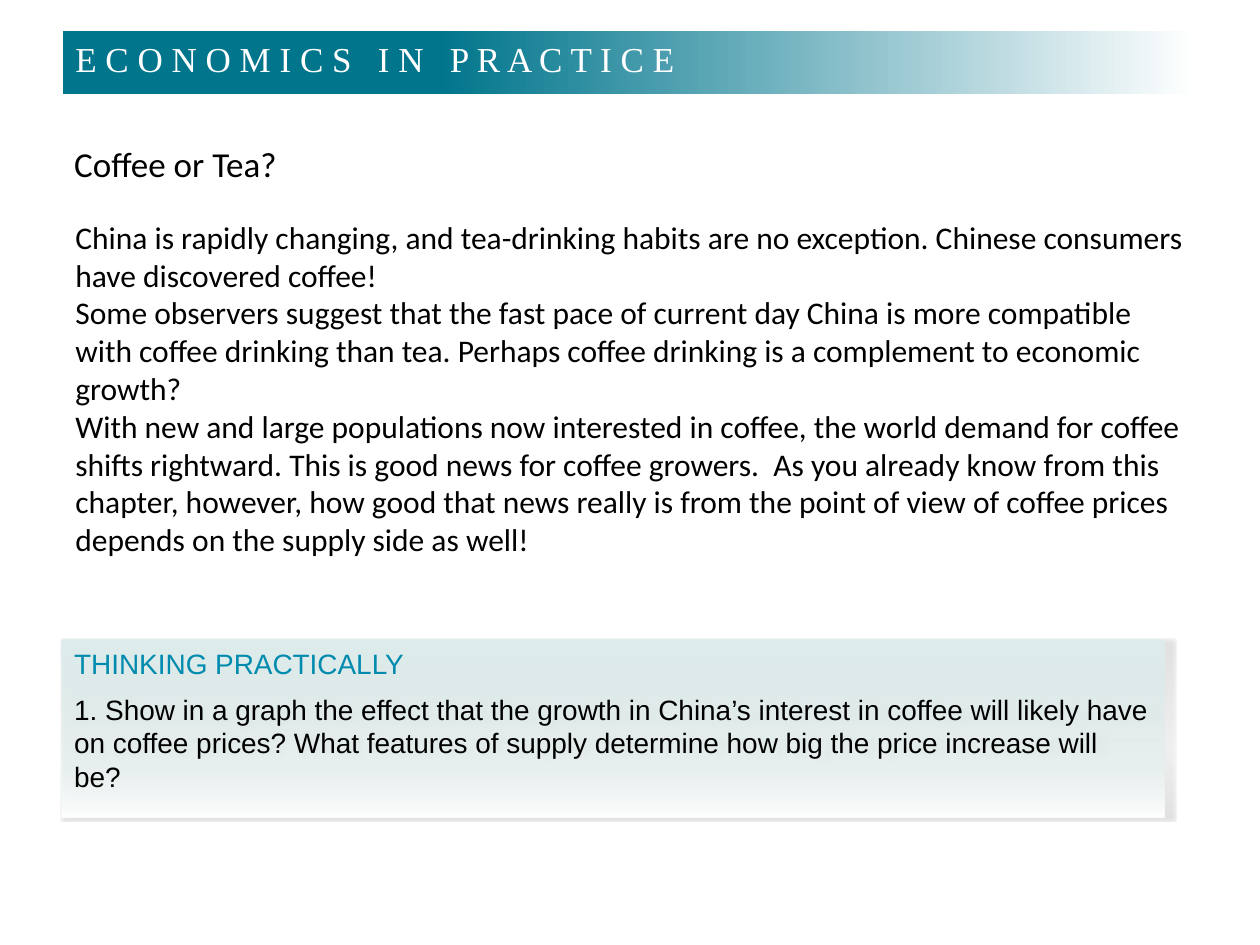
from lxml import etree
from pptx import Presentation
from pptx.dml.color import RGBColor
from pptx.enum import shapes, text
from pptx.oxml import parse_xml
from pptx.oxml.ns import nsdecls, qn
from pptx.util import Inches, Pt

TEAL = RGBColor(0x00, 0x75, 0x8C)
AQUA = RGBColor(0x00, 0x8B, 0xAE)
MIST = RGBColor(0xDD, 0xEC, 0xEB)
WHITE = RGBColor(0xFF, 0xFF, 0xFF)
BLACK = RGBColor(0x00, 0x00, 0x00)
SHADOW = RGBColor(0x33, 0x33, 0x33)


def add_gradient_box(page, place, stops, angle):
    box = page.shapes.add_shape(shapes.MSO_SHAPE.RECTANGLE, *map(Inches, place))
    box.shadow.inherit = False
    box.line.fill.background()
    marks = "".join(
        f'<a:gs pos="{position * 1000}"><a:srgbClr val="{color}">'
        f'<a:alpha val="{opacity * 1000}"/></a:srgbClr></a:gs>'
        for position, color, opacity in stops
    )
    gradient = parse_xml(
        f'<a:gradFill {nsdecls("a")} rotWithShape="1"><a:gsLst>{marks}</a:gsLst>'
        f'<a:lin ang="{angle * 60000}" scaled="0"/></a:gradFill>'
    )
    box._element.spPr.find(qn("a:prstGeom")).addnext(gradient)
    return box


def write(box, lines, font_name, size, colors, gap=0):
    frame = box.text_frame
    frame.word_wrap = True
    frame.vertical_anchor = text.MSO_ANCHOR.TOP
    for index, (line, color) in enumerate(zip(lines, colors)):
        para = frame.add_paragraph() if index else frame.paragraphs[0]
        para.alignment = text.PP_ALIGN.LEFT
        para.space_before = Pt(gap if index else 0)
        span = para.add_run()
        span.text = line
        span.font.color.rgb = color
        for key, value in {"name": font_name, "size": Pt(size)}.items():
            setattr(span.font, key, value)


deck = Presentation()
deck.slide_width, deck.slide_height = Inches(10), Inches(7.5)
page = deck.slides.add_slide(deck.slide_layouts[6])

banner = (0.5, 0.25, 9, 0.5)
add_gradient_box(page, banner, [(0, TEAL, 100), (33, TEAL, 100), (100, WHITE, 100)], 0)

question_box = add_gradient_box(
    page, (0.49, 5.08, 8.75, 1.41),
    [(0, MIST, 100), (60, MIST, 50), (100, WHITE, 100)], 90,
)
shadow = etree.SubElement(
    question_box._element.spPr.find(qn("a:effectLst")), qn("a:outerShdw"),
    blurRad=str(Pt(1)), dist="0", dir="0", sx="101000", sy="101000",
    algn="tl", rotWithShape="0",
)
shade = etree.SubElement(shadow, qn("a:srgbClr"), val=str(SHADOW))
etree.SubElement(shade, qn("a:alpha"), val="14000")
write(question_box, [
    "THINKING PRACTICALLY",
    "1. Show in a graph the effect that the growth in China’s interest in coffee will "
    "likely have on coffee prices? What features of supply determine how big the "
    "price increase will be?",
], "Arial", 16, [AQUA, BLACK], gap=7)

story = [
    "China is rapidly changing, and tea-drinking habits are no exception. Chinese "
    "consumers have discovered coffee!",
    "Some observers suggest that the fast pace of current day China is more compatible "
    "with coffee drinking than tea. Perhaps coffee drinking is a complement to "
    "economic growth?",
    "With new and large populations now interested in coffee, the world demand for "
    "coffee shifts rightward. This is good news for coffee growers.  As you already "
    "know from this chapter, however, how good that news really is from the point of "
    "view of coffee prices depends on the supply side as well!",
]
for place, lines, font_name, size, color in [
    (banner, [" ".join("ECONOMICS IN PRACTICE")], "Times New Roman", 20, WHITE),
    ((0.49, 1.08, 5, 0.44), ["Coffee or Tea?"], "Calibri", 20, BLACK),
    ((0.5, 1.68, 9, 2.95), story, "Calibri", 18, BLACK),
]:
    box = page.shapes.add_textbox(*map(Inches, place))
    write(box, lines, font_name, size, [color] * len(lines))

deck.save("out.pptx")
